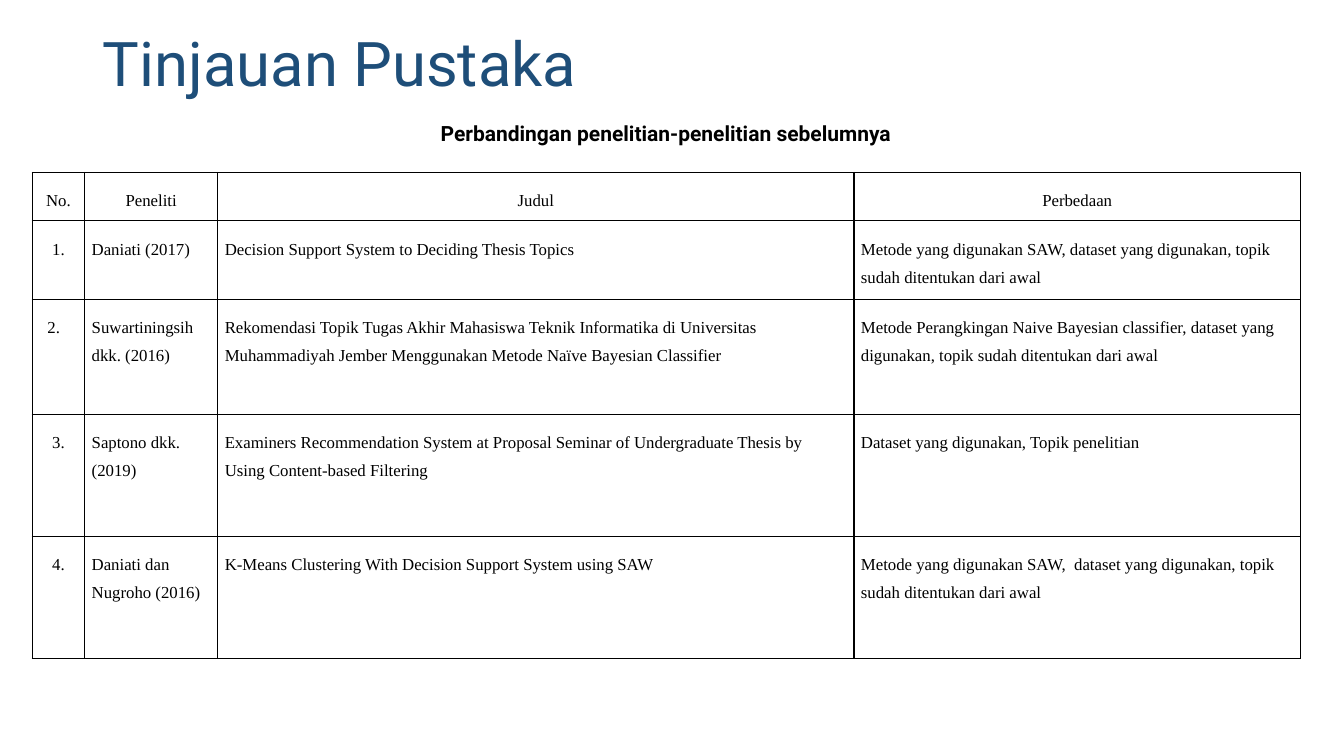
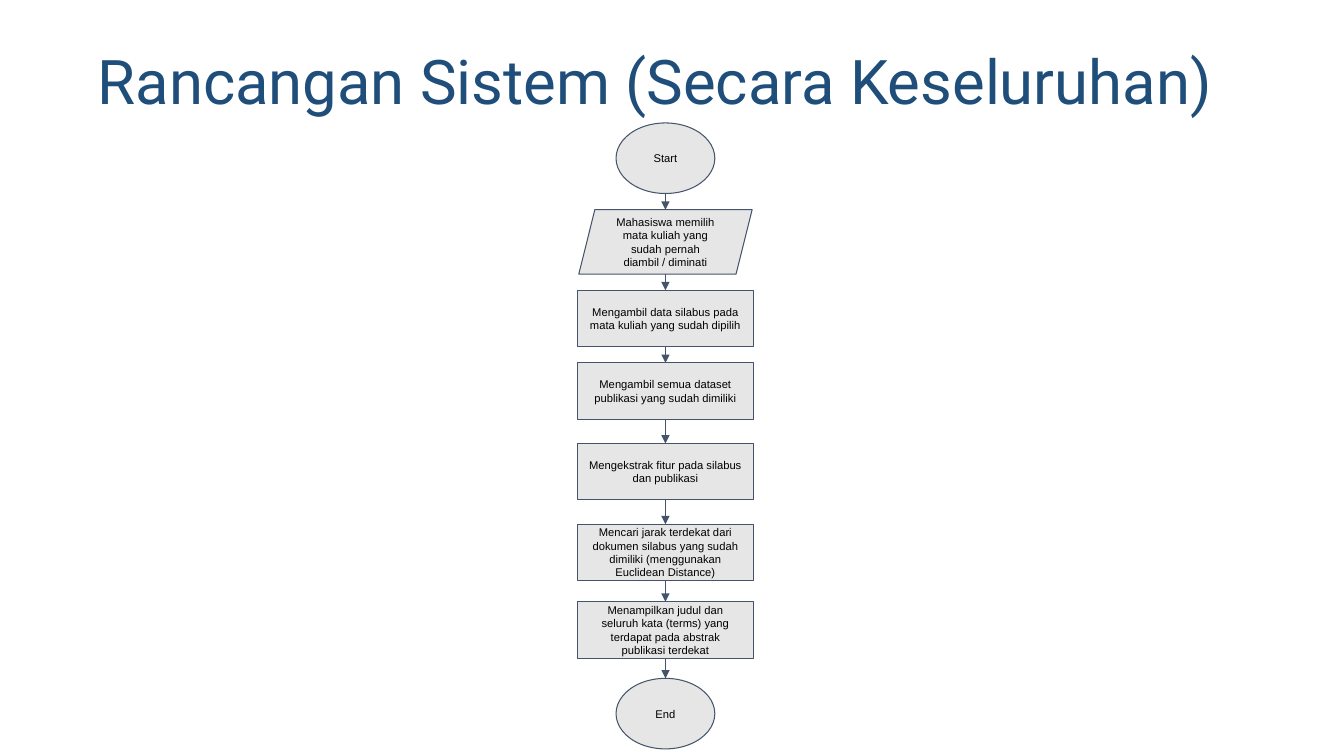
from lxml import etree
from pptx import Presentation
from pptx.dml.color import RGBColor
from pptx.enum.shapes import MSO_CONNECTOR, MSO_SHAPE
from pptx.enum.text import MSO_ANCHOR, MSO_AUTO_SIZE, PP_ALIGN
from pptx.oxml.ns import qn
from pptx.util import Pt

EMU_PER_PX = 9144  # 100 px to the inch

LEFT, CENTER = PP_ALIGN.LEFT, PP_ALIGN.CENTER
TOP, MIDDLE = MSO_ANCHOR.TOP, MSO_ANCHOR.MIDDLE
NO_AUTOFIT = MSO_AUTO_SIZE.NONE
STRAIGHT = MSO_CONNECTOR.STRAIGHT
ELLIPSE, RECTANGLE = MSO_SHAPE.OVAL, MSO_SHAPE.RECTANGLE
PARALLELOGRAM = MSO_SHAPE.PARALLELOGRAM

NAVY = RGBColor(0x1E, 0x4E, 0x79)
BLACK = RGBColor(0x00, 0x00, 0x00)
LIGHT_GRAY = RGBColor(0xE7, 0xE6, 0xE6)
SLATE = RGBColor(0x44, 0x54, 0x6A)

TITLE_FONT = {"name": "Roboto", "size": Pt(44), "color": NAVY}
SUBTITLE_FONT = {"name": "Roboto", "size": Pt(15), "color": BLACK, "bold": True}
TABLE_FONT = {"name": "Times New Roman", "size": Pt(12), "color": BLACK}
STEP_FONT = {"name": "Arial", "size": Pt(8), "color": BLACK}

TITLE_ONLY = 5
TITLE_SIZE = (1150, 145)

COLUMN_WIDTHS = (52, 132, 631, 443)
ROW_HEIGHTS = (48, 78, 114, 121, 121)
STUDIES = (
    ("No.", "Peneliti", "Judul", "Perbedaan"),
    ("1.", "Daniati (2017)", "Decision Support System to Deciding Thesis Topics",
     "Metode yang digunakan SAW, dataset yang digunakan, topik sudah ditentukan "
     "dari awal"),
    ("2.", "Suwartiningsih dkk. (2016)",
     "Rekomendasi Topik Tugas Akhir Mahasiswa Teknik Informatika di Universitas "
     "Muhammadiyah Jember Menggunakan Metode Naïve Bayesian Classifier",
     "Metode Perangkingan Naive Bayesian classifier, dataset yang digunakan, "
     "topik sudah ditentukan dari awal"),
    ("3.", "Saptono dkk. (2019)",
     "Examiners Recommendation System at Proposal Seminar of Undergraduate "
     "Thesis by Using Content-based Filtering",
     "Dataset yang digunakan, Topik penelitian"),
    ("4.", "Daniati dan Nugroho (2016)",
     "K-Means Clustering With Decision Support System using SAW",
     "Metode yang digunakan SAW,  dataset yang digunakan, topik sudah ditentukan "
     "dari awal"),
)
INDENTED_ROW = 2

FLOW_CENTER = 660
STEP_SIZES = {ELLIPSE: (98, 70), PARALLELOGRAM: (172, 64), RECTANGLE: (174, 56)}
FLOW_STEPS = (
    (ELLIPSE, 122, "Start"),
    (PARALLELOGRAM, 208,
     "Mahasiswa memilih mata kuliah yang sudah pernah diambil / diminati"),
    (RECTANGLE, 288, "Mengambil data silabus pada mata kuliah yang sudah dipilih"),
    (RECTANGLE, 360, "Mengambil semua dataset publikasi yang sudah dimiliki"),
    (RECTANGLE, 440, "Mengekstrak fitur pada silabus dan publikasi"),
    (RECTANGLE, 520,
     "Mencari jarak terdekat dari dokumen silabus yang sudah dimiliki "
     "(menggunakan Euclidean Distance)"),
    (RECTANGLE, 597,
     "Menampilkan judul dan seluruh kata (terms) yang terdapat pada abstrak "
     "publikasi terdekat"),
    (ELLIPSE, 673, "End"),
)


def px(length):
    return length * EMU_PER_PX


def box(*lengths):
    return [px(length) for length in lengths]


def set_text(frame, text, font, align=LEFT, line_spacing=1.0):
    paragraph = frame.paragraphs[0]
    paragraph.alignment = align
    paragraph.line_spacing = line_spacing
    run = paragraph.add_run()
    run.text = text
    for attribute, value in font.items():
        if attribute == "color":
            run.font.color.rgb = value
        else:
            setattr(run.font, attribute, value)


def set_frame(frame, anchor, inset_x, inset_y):
    settings = {
        "word_wrap": True, "auto_size": NO_AUTOFIT, "vertical_anchor": anchor,
        "margin_left": px(inset_x), "margin_right": px(inset_x),
        "margin_top": px(inset_y), "margin_bottom": px(inset_y),
    }
    for attribute, value in settings.items():
        setattr(frame, attribute, value)


def add_titled_slide(deck, heading, left, top):
    slide = deck.slides.add_slide(deck.slide_layouts[TITLE_ONLY])
    title = slide.shapes.title
    title.left, title.top, title.width, title.height = box(left, top, *TITLE_SIZE)
    set_frame(title.text_frame, MIDDLE, 10, 5)
    set_text(title.text_frame, heading, TITLE_FONT, line_spacing=0.9)
    return slide


def add_subtitle(slide, text):
    subtitle = slide.shapes.add_textbox(*box(370, 110, 581, 37))
    set_frame(subtitle.text_frame, TOP, 10, 10)
    set_text(subtitle.text_frame, text, SUBTITLE_FONT, CENTER)


def add_borders(cell):
    properties = cell._tc.get_or_add_tcPr()
    for side in ("a:lnL", "a:lnR", "a:lnT", "a:lnB"):
        line = etree.SubElement(properties, qn(side), w=str(Pt(1)))
        fill = etree.SubElement(line, qn("a:solidFill"))
        etree.SubElement(fill, qn("a:srgbClr"), val=str(BLACK))


def fill_cell(cell, text, align, margin_left):
    margins = {"margin_left": margin_left, "margin_right": 7,
               "margin_top": 10, "margin_bottom": 10}
    for attribute, value in margins.items():
        setattr(cell, attribute, px(value))
    add_borders(cell)
    cell.fill.background()
    set_text(cell.text_frame, text, TABLE_FONT, align, 1.5)


def add_study_table(slide):
    frame = slide.shapes.add_table(
        len(ROW_HEIGHTS), len(COLUMN_WIDTHS),
        *box(32, 171, sum(COLUMN_WIDTHS), sum(ROW_HEIGHTS)))
    table = frame.table
    table.first_row = table.horz_banding = False
    for column, width in zip(table.columns, COLUMN_WIDTHS):
        column.width = px(width)
    for row, height in zip(table.rows, ROW_HEIGHTS):
        row.height = px(height)
    for r, study in enumerate(STUDIES):
        for c, text in enumerate(study):
            indented = r == INDENTED_ROW and c == 0
            centered = (r == 0 or c == 0) and not indented
            fill_cell(table.cell(r, c), text, CENTER if centered else LEFT,
                      15 if indented else 7)


def set_outline(line):
    line.color.rgb = SLATE
    line.width = Pt(0.75)


def add_step(shapes, kind, top, text):
    """Add one flowchart step and return its bottom edge in px."""
    width, height = STEP_SIZES[kind]
    step = shapes.add_shape(
        kind, *box(FLOW_CENTER - width // 2, top, width, height))
    step.shadow.inherit = False
    step.fill.solid()
    step.fill.fore_color.rgb = LIGHT_GRAY
    set_outline(step.line)
    set_frame(step.text_frame, MIDDLE, 10, 10)
    set_text(step.text_frame, text, STEP_FONT, CENTER)
    return top + height


def add_arrow(shapes, start, end):
    arrow = shapes.add_connector(
        STRAIGHT, *box(FLOW_CENTER, start, FLOW_CENTER, end))
    set_outline(arrow.line)
    etree.SubElement(arrow.line._get_or_add_ln(), qn("a:tailEnd"), type="triangle")
    etree.SubElement(arrow._element.spPr, qn("a:effectLst"))


def add_flowchart(slide):
    shapes = slide.shapes.add_group_shape().shapes
    bottoms = [add_step(shapes, *step) for step in FLOW_STEPS]
    for bottom, (_, next_top, _) in zip(bottoms, FLOW_STEPS[1:]):
        add_arrow(shapes, bottom, next_top)


def main():
    deck = Presentation()
    deck.slide_width, deck.slide_height = box(1333, 750)

    review = add_titled_slide(deck, "Tinjauan Pustaka", 92, -6)
    add_subtitle(review, "Perbandingan penelitian-penelitian sebelumnya")
    add_study_table(review)

    design = add_titled_slide(deck, "Rancangan Sistem (Secara Keseluruhan)", 87, 11)
    add_flowchart(design)

    deck.save("out.pptx")


if __name__ == "__main__":
    main()
